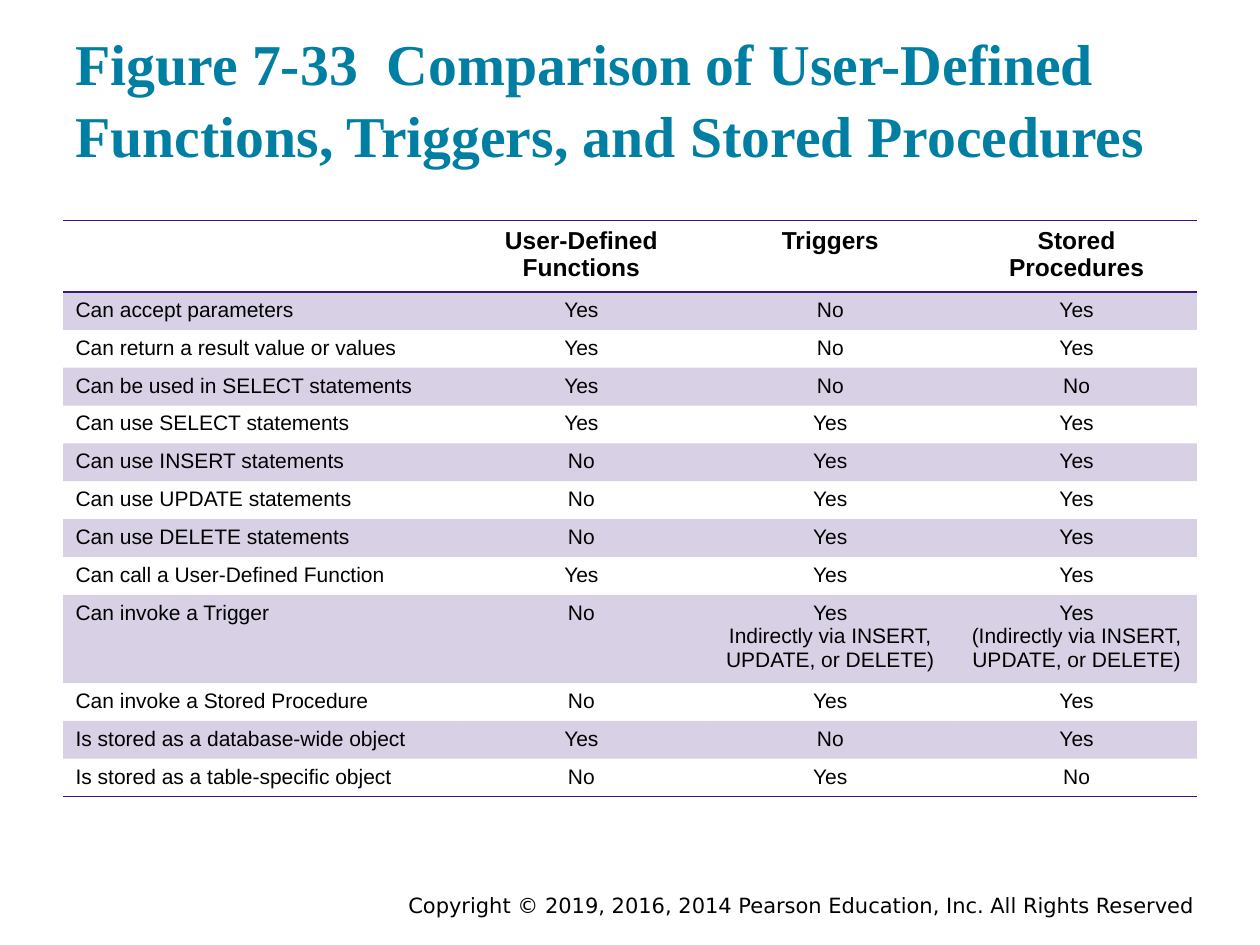
from lxml import etree
from pptx import Presentation
from pptx.dml.color import RGBColor
from pptx.enum.text import MSO_ANCHOR, PP_ALIGN
from pptx.oxml.ns import qn
from pptx.util import Pt

LEFT, CENTER, RIGHT = PP_ALIGN.LEFT, PP_ALIGN.CENTER, PP_ALIGN.RIGHT
TOP, BOTTOM = MSO_ANCHOR.TOP, MSO_ANCHOR.BOTTOM

TEAL, PURPLE, BLACK = "007FA3", "3C1581", "000000"
PLAIN_STYLE = "{2D5ABB26-0587-4C30-8999-92F81FD0307C}"

COLUMN_WIDTHS = [226, 140.5, 144, 137.5]
HEADER_HEIGHT, LINE_HEIGHT, CELL_PADDING = 38.8, 13.4, 7.2
HEADER = ["", "User-Defined Functions", "Triggers", "Stored Procedures"]
ROWS = [
    ["Can accept parameters", "Yes", "No", "Yes"],
    ["Can return a result value or values", "Yes", "No", "Yes"],
    ["Can be used in SELECT statements", "Yes", "No", "No"],
    ["Can use SELECT statements", "Yes", "Yes", "Yes"],
    ["Can use INSERT statements", "No", "Yes", "Yes"],
    ["Can use UPDATE statements", "No", "Yes", "Yes"],
    ["Can use DELETE statements", "No", "Yes", "Yes"],
    ["Can call a User-Defined Function", "Yes", "Yes", "Yes"],
    ["Can invoke a Trigger", "No",
     "Yes\nIndirectly via INSERT,\nUPDATE, or DELETE)",
     "Yes\n(Indirectly via INSERT,\nUPDATE, or DELETE)"],
    ["Can invoke a Stored Procedure", "No", "Yes", "Yes"],
    ["Is stored as a database-wide object", "Yes", "No", "Yes"],
    ["Is stored as a table-specific object", "No", "Yes", "No"],
]


def color(hex_string):
    return RGBColor.from_string(hex_string)


def write(frame, text, size=12, font="Arial", ink=BLACK, bold=False,
          align=LEFT, spacing=None):
    """Fill a text frame, one paragraph for each line of text."""
    frame.text = text
    for para in frame.paragraphs:
        para.alignment = align
        para.line_spacing = spacing
        para.font.size = Pt(size)
        for span in para.runs:
            span.font.name = font
            span.font.size = Pt(size)
            span.font.bold = bold
            span.font.color.rgb = color(ink)


def add_text(page, box, text, inset_y, anchor=TOP, **text_format):
    frame = page.shapes.add_textbox(*map(Pt, box)).text_frame
    frame.word_wrap = True
    frame.vertical_anchor = anchor
    frame.margin_left = frame.margin_right = Pt(7.2)
    frame.margin_top = frame.margin_bottom = Pt(inset_y)
    write(frame, text, **text_format)


def set_fill(cell, tinted):
    if not tinted:
        cell.fill.background()
        return
    cell.fill.solid()
    cell.fill.fore_color.rgb = color(PURPLE)
    tint = cell._tc.tcPr.find(".//" + qn("a:srgbClr"))
    etree.SubElement(tint, qn("a:alpha"), val="20000")


def set_borders(cell, sides):
    """Draw 1 pt rules; sides are listed in schema order, top before bottom."""
    for position, side in enumerate(sides):
        line = etree.Element(qn("a:ln" + side), w=str(Pt(1)))
        fill = etree.SubElement(line, qn("a:solidFill"))
        etree.SubElement(fill, qn("a:srgbClr"), val=PURPLE)
        cell._tc.get_or_add_tcPr().insert(position, line)


def add_comparison(page, box):
    lines = [HEADER] + ROWS
    shape = page.shapes.add_table(len(lines), len(HEADER), *map(Pt, box))
    table = shape.table
    table.first_row = table.horz_banding = False
    table._tbl.tblPr.find(qn("a:tableStyleId")).text = PLAIN_STYLE
    for column, width in zip(table.columns, COLUMN_WIDTHS):
        column.width = Pt(width)

    for r, values in enumerate(lines):
        is_header, is_last = r == 0, r == len(lines) - 1
        line_count = max(value.count("\n") + 1 for value in values)
        height = HEADER_HEIGHT if is_header else line_count * LINE_HEIGHT + CELL_PADDING
        table.rows[r].height = Pt(height)
        for c, value in enumerate(values):
            cell = table.cell(r, c)
            write(cell.text_frame, value, size=14 if is_header else 12,
                  bold=is_header, align=CENTER if c else LEFT)
            set_fill(cell, tinted=r % 2 == 1)
            set_borders(cell, "TB" if is_header else "B" if is_last else "")


def main():
    deck = Presentation()
    deck.slide_width, deck.slide_height = Pt(720), Pt(540)
    page = deck.slides.add_slide(deck.slide_layouts[6])

    # Copyright line
    add_text(page, (126, 506.2, 563.8, 15.8),
             "Copyright © 2019, 2016, 2014 Pearson Education, Inc. All Rights Reserved",
             inset_y=3.6, font="DejaVu Sans", align=RIGHT)

    # Title
    add_text(page, (36, 17.3, 648, 86.4),
             "Figure 7-33  Comparison of User-Defined Functions, Triggers, "
             "and Stored Procedures",
             inset_y=7.2, anchor=BOTTOM, size=33, font="Times New Roman",
             ink=TEAL, bold=True, spacing=1.04)

    # Comparison table
    add_comparison(page, (36, 126, 648, 313.6))

    deck.save("out.pptx")


if __name__ == "__main__":
    main()
